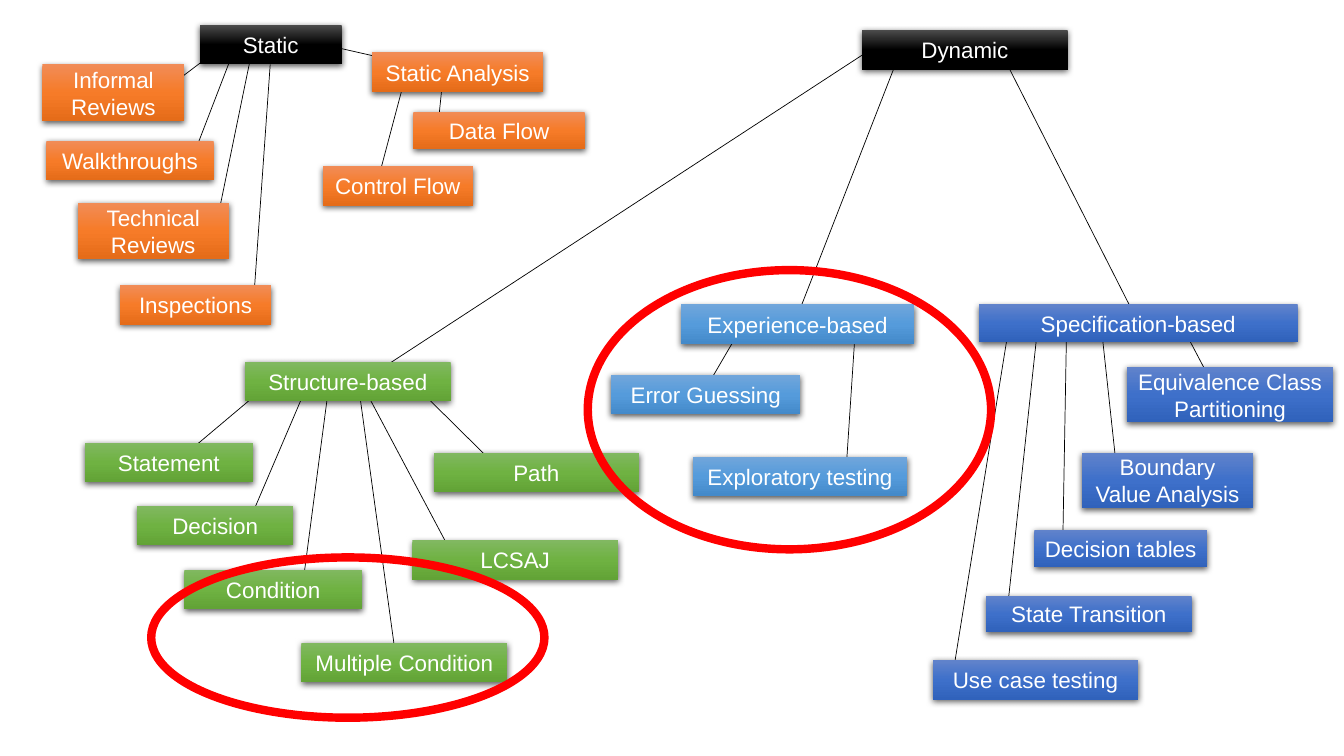
from pptx import Presentation
from pptx.dml.color import RGBColor as Rgb
from pptx.enum.shapes import MSO_CONNECTOR as Link, MSO_SHAPE as Kind
from pptx.enum.text import MSO_ANCHOR as Anchor, PP_ALIGN as Align
from pptx.oxml import parse_xml
from pptx.oxml.ns import nsdecls, qn
from pptx.util import Inches, Pt

INK = {"text": "FFFFFF", "line": "000000", "ring": "FF0000"}

# Top, middle and bottom colour of each family's gradient
SHADES = {
    "root": ("4B4B4B", "000000", "000000"),
    "static": ("F18C57", "F67B28", "E56C19"),
    "skill": ("71A6DB", "559BDB", "448ACA"),
    "spec": ("6183CB", "3E70CA", "3062BB"),
    "struct": ("81B861", "6FB242", "62A336"),
}

# Boxes of each family: text, left, top, width, height
BOXES = {
    "static": [
        ("Informal\nReviews", 0.42, 0.64, 1.41, 0.56),
        ("Walkthroughs", 0.46, 1.4, 1.66, 0.39),
        ("Technical Reviews", 0.77, 2.01, 1.5, 0.56),
        ("Inspections", 1.19, 2.83, 1.5, 0.39),
        ("Static Analysis", 3.69, 0.52, 1.7, 0.39),
        ("Data Flow", 4.1, 1.11, 1.7, 0.37),
        ("Control Flow", 3.2, 1.65, 1.49, 0.39),
    ],
    "skill": [
        ("Experience-based", 6.75, 3.02, 2.32, 0.39),
        ("Error Guessing", 6.06, 3.72, 1.88, 0.39),
        ("Exploratory testing", 6.87, 4.53, 2.13, 0.39),
    ],
    "spec": [
        ("Specification-based", 9.71, 3.02, 3.16, 0.37),
        ("Equivalence Class Partitioning", 11.18, 3.64, 2.04, 0.55),
        ("Boundary Value Analysis", 10.73, 4.49, 1.7, 0.55),
        ("Decision tables", 10.26, 5.26, 1.71, 0.37),
        ("State Transition", 9.78, 5.91, 2.04, 0.36),
        ("Use case testing", 9.25, 6.55, 2.04, 0.39),
    ],
    "struct": [
        ("Structure-based", 2.43, 3.59, 2.04, 0.39),
        ("Statement", 0.84, 4.39, 1.67, 0.39),
        ("Decision", 1.36, 5.02, 1.55, 0.39),
        ("Condition", 1.83, 5.65, 1.76, 0.39),
        ("Multiple Condition", 2.99, 6.38, 2.04, 0.39),
        ("Path", 4.3, 4.49, 2.04, 0.39),
        ("LCSAJ", 4.09, 5.36, 2.04, 0.39),
    ],
    "root": [
        ("Static", 1.98, 0.25, 1.41, 0.39),
        ("Dynamic", 8.55, 0.3, 2.04, 0.39),
    ],
}

# Branches below each parent: from x, y, to x, y
LINES = {
    "Experience-based": [(7.3, 3.34, 6.88, 4.06), (8.49, 3.17, 8.39, 4.69)],
    "Specification-based": [
        (10.01, 3.22, 9.47, 6.57), (10.3, 3.17, 9.98, 6.15),
        (10.58, 3.17, 10.54, 5.45), (10.93, 3.31, 11.08, 4.7),
        (11.7, 3.19, 12.11, 3.97),
    ],
    "Dynamic": [
        (8.73, 0.43, 3.81, 3.64), (8.9, 0.59, 7.84, 3.31),
        (9.99, 0.64, 11.29, 3.2),
    ],
    "Structure-based": [
        (2.63, 3.84, 1.81, 4.53), (3.04, 3.84, 2.48, 5.15),
        (3.26, 3.84, 3.02, 5.67), (3.56, 3.86, 3.93, 6.55),
        (3.59, 3.81, 4.46, 5.45), (4.03, 3.74, 4.99, 4.69),
    ],
    "Static": [
        (3.2, 0.44, 4.3, 0.69), (2.23, 0.44, 1.57, 0.94),
        (2.3, 0.55, 1.9, 1.59), (2.49, 0.55, 2.17, 2.11),
        (2.68, 0.64, 2.52, 2.92),
    ],
    "Static Analysis": [(4.39, 0.8, 4.34, 1.29), (4.01, 0.8, 3.75, 1.78)],
}

# Highlight ellipses: left, top, width, height
RINGS = [(1.5, 5.53, 3.9, 1.59), (5.83, 2.68, 4, 2.77)]


def inches(spot):
    return [Inches(n) for n in spot]


def add_line(slide, ends):
    line = slide.shapes.add_connector(Link.STRAIGHT, *inches(ends))
    line.line.color.rgb = Rgb.from_string(INK["line"])
    line.line.width = Pt(0.5)
    line._element.spPr.append(parse_xml(f'<a:effectLst {nsdecls("a")}/>'))


def add_shade(shape, shades):
    stops = "".join(
        f'<a:gs pos="{i * 50000}"><a:srgbClr val="{shade}"/></a:gs>'
        for i, shade in enumerate(shades))
    shape._element.spPr.append(parse_xml(
        f'<a:gradFill {nsdecls("a")} rotWithShape="1"><a:gsLst>{stops}</a:gsLst>'
        '<a:lin ang="5400000" scaled="0"/></a:gradFill>'))


def add_shadow(shape):
    shape.shadow.inherit = False
    shape._element.spPr.find(qn("a:effectLst")).append(parse_xml(
        f'<a:outerShdw {nsdecls("a")} blurRad="{Pt(4.5)}" dist="{Pt(1.5)}" '
        'dir="5400000" algn="ctr" rotWithShape="0"><a:srgbClr val="000000">'
        '<a:alpha val="63000"/></a:srgbClr></a:outerShdw>'))


def add_box(slide, shades, text, *spot):
    box = slide.shapes.add_shape(Kind.RECTANGLE, *inches(spot))
    add_shade(box, shades)
    box.line.fill.background()
    add_shadow(box)
    frame = box.text_frame
    frame.text = text
    frame.word_wrap = True
    frame.vertical_anchor = Anchor.MIDDLE
    for para in frame.paragraphs:
        para.alignment = Align.CENTER
        for run in para.runs:
            run.font.name = "Arial"
            run.font.size = Pt(16)
            run.font.color.rgb = Rgb.from_string(INK["text"])


def add_ring(slide, spot):
    ring = slide.shapes.add_shape(Kind.OVAL, *inches(spot))
    ring.fill.background()
    ring.line.color.rgb = Rgb.from_string(INK["ring"])
    ring.line.width = Pt(6)
    ring.shadow.inherit = False


def main():
    deck = Presentation()
    deck.slide_width, deck.slide_height = Inches(13.33), Inches(7.5)
    slide = deck.slides.add_slide(deck.slide_layouts[6])

    # Branches lie behind the boxes
    for branch in LINES.values():
        for ends in branch:
            add_line(slide, ends)

    # Technique boxes
    for name, boxes in BOXES.items():
        for box in boxes:
            add_box(slide, SHADES[name], *box)

    # Highlights on top
    for spot in RINGS:
        add_ring(slide, spot)

    deck.save("out.pptx")


if __name__ == "__main__":
    main()
